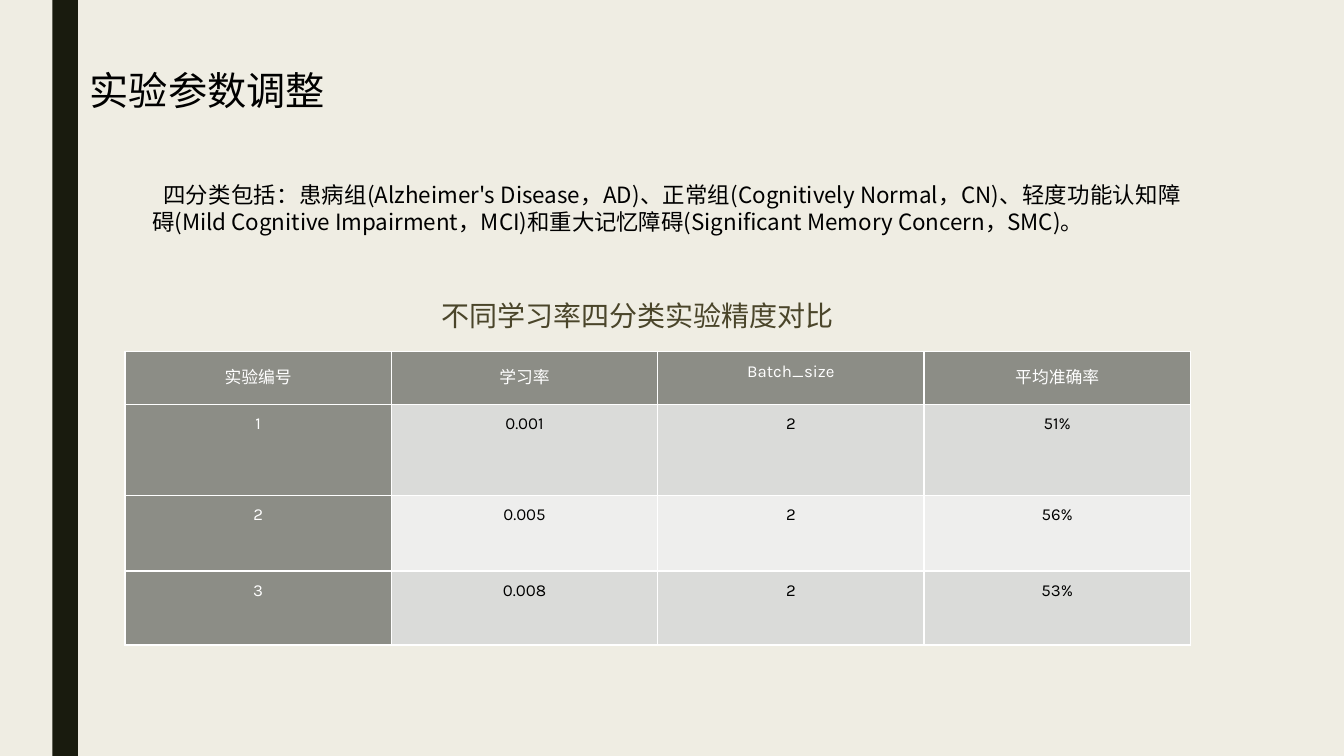
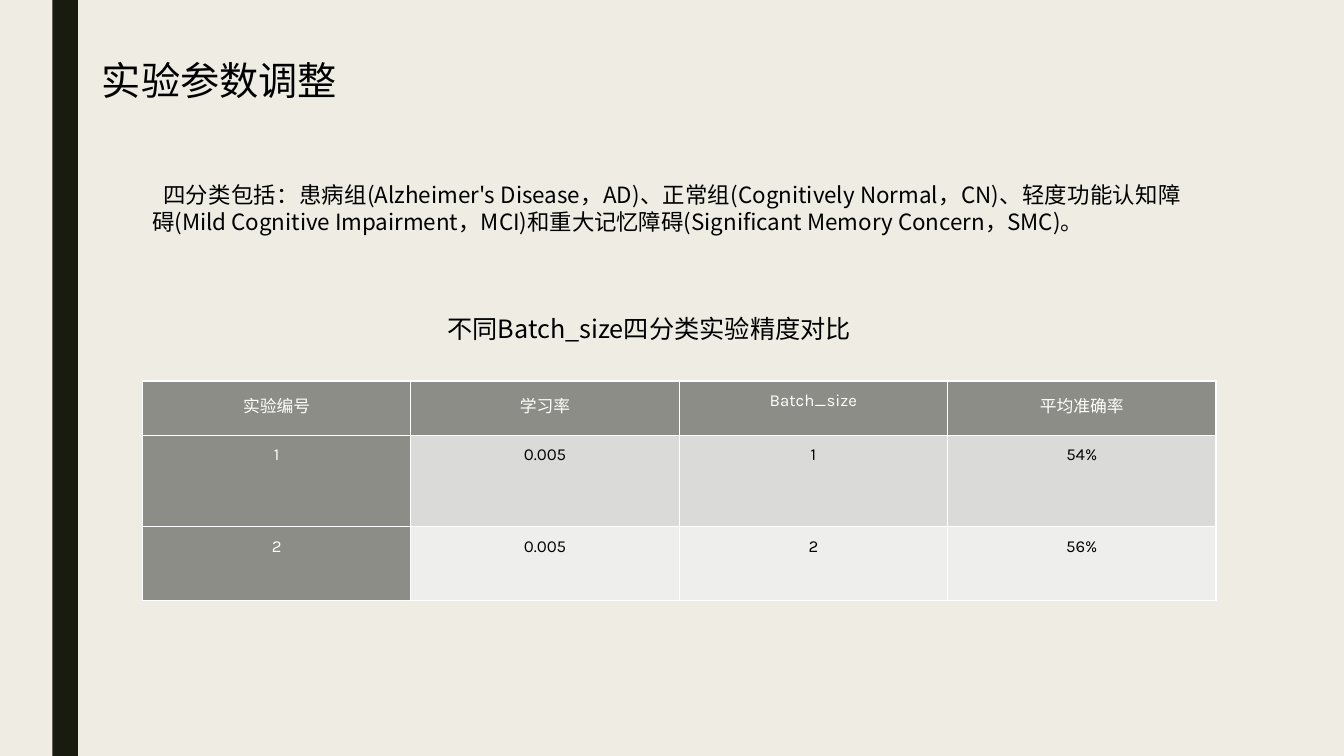
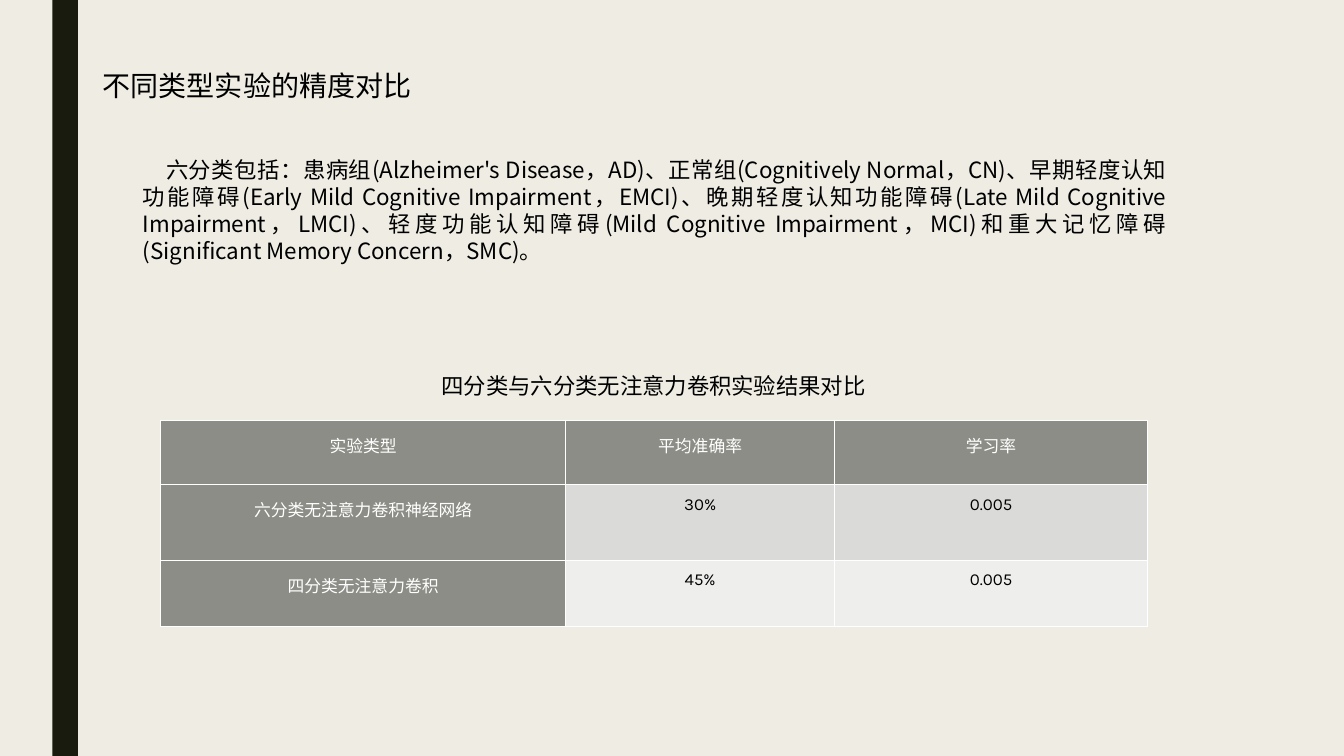
from pptx import Presentation
from pptx.dml.color import RGBColor
from pptx.enum.shapes import MSO_SHAPE
from pptx.enum.text import MSO_ANCHOR, MSO_AUTO_SIZE, PP_ALIGN
from pptx.oxml.ns import qn
from pptx.util import Inches, Pt
from lxml.etree import SubElement

# Shared look
SLIDE_WIDTH = Inches(13.33)
SLIDE_HEIGHT = Inches(7.5)
PAPER = RGBColor(0xEF, 0xED, 0xE3)
BAND = RGBColor(0x19, 0x1B, 0x0E)
BLACK = RGBColor(0, 0, 0)
WHITE = RGBColor(0xFF, 0xFF, 0xFF)
OLIVE = RGBColor(0x4A, 0x45, 0x2A)
HEADER_FILL = RGBColor(0x8C, 0x8D, 0x86)
ROW_FILLS = (RGBColor(0xDA, 0xDB, 0xD9), RGBColor(0xEE, 0xEE, 0xED))
CJK_FONT = "Noto Sans CJK SC"
LATIN_FONT = "Karla"
TITLE_SIZE = (28.2, 6.67)
TITLE_ONLY_LAYOUT = 5

# Wording
PARAMETER_TITLE = "实验参数调整"
FOUR_CLASSES = (
    "四分类包括：患病组(Alzheimer's Disease，AD)、正常组(Cognitively Normal，CN)、"
    "轻度功能认知障碍(Mild Cognitive Impairment，MCI)"
    "和重大记忆障碍(Significant Memory Concern，SMC)。"
)
SIX_CLASSES = (
    "六分类包括：患病组(Alzheimer's Disease，AD)、正常组(Cognitively Normal，CN)、"
    "早期轻度认知功能障碍(Early Mild Cognitive Impairment，EMCI)、"
    "晚期轻度认知功能障碍(Late Mild Cognitive Impairment，LMCI)、"
    "轻度功能认知障碍(Mild Cognitive Impairment，MCI)"
    "和重大记忆障碍(Significant Memory Concern，SMC)。"
)
PARAMETER_HEADER = ("实验编号", "学习率", "Batch_size", "平均准确率")


def across(percent):
    return round(SLIDE_WIDTH * percent / 100)


def down(percent):
    return round(SLIDE_HEIGHT * percent / 100)


def place(left, top, width, height):
    """Turn percentages of the slide into lengths."""
    return across(left), down(top), across(width), down(height)


def write(text_frame, text, size, color=BLACK, font=CJK_FONT,
          alignment=PP_ALIGN.LEFT, line_spacing=1.0):
    text_frame.text = text
    paragraph = text_frame.paragraphs[0]
    paragraph.alignment = alignment
    paragraph.line_spacing = line_spacing
    for run in paragraph.runs:
        run.font.size = Pt(size)
        run.font.color.rgb = color
        run.font.bold = False
        run.font.name = font
        east_asian = SubElement(run.font._element, qn("a:ea"))
        east_asian.set("typeface", CJK_FONT)
    return paragraph


def set_up_master(presentation, slide):
    """Give the master the paper colour and the dark band."""
    master = presentation.slide_master
    master.background.fill.solid()
    master.background.fill.fore_color.rgb = PAPER
    band = slide.shapes.add_shape(MSO_SHAPE.RECTANGLE, *place(3.9, 0, 1.9, 100))
    band.shadow.inherit = False
    band.fill.solid()
    band.fill.fore_color.rgb = BAND
    band.line.fill.background()
    master.shapes.element.insert(2, band.element)


def add_title(slide, text, left, top, size=28, font=LATIN_FONT):
    title = slide.shapes.title
    title.left, title.top, title.width, title.height = place(left, top, *TITLE_SIZE)
    text_frame = title.text_frame
    text_frame.auto_size = MSO_AUTO_SIZE.NONE
    text_frame.vertical_anchor = MSO_ANCHOR.TOP
    write(text_frame, text, size, font=font,
          alignment=PP_ALIGN.JUSTIFY, line_spacing=0.89)


def add_text(slide, text, box, size, **style):
    text_frame = slide.shapes.add_textbox(*place(*box)).text_frame
    text_frame.word_wrap = True
    return text_frame, write(text_frame, text, size, **style)


def add_description(slide, text, box, indent):
    paragraph = add_text(slide, text, box, 16, alignment=PP_ALIGN.JUSTIFY)[1]
    paragraph._p.get_or_add_pPr().set("indent", str(Inches(indent)))


def add_caption(slide, text, box, size, **style):
    text_frame = add_text(slide, text, box, size, **style)[0]
    text_frame.vertical_anchor = MSO_ANCHOR.MIDDLE


def set_borders(cell):
    properties = cell._tc.get_or_add_tcPr()
    for position, side in enumerate(("a:lnL", "a:lnR", "a:lnT", "a:lnB")):
        line = SubElement(properties, qn(side), w=str(Pt(1)))
        fill = SubElement(line, qn("a:solidFill"))
        SubElement(fill, qn("a:srgbClr"), val=str(WHITE))
        properties.insert(position, line)


def add_result_table(slide, left, top, columns, heights, rows):
    """Header row and first column are dark; the other rows alternate."""
    box = place(left, top, sum(columns), sum(heights))
    table = slide.shapes.add_table(len(rows), len(columns), *box).table
    for column, width in zip(table.columns, columns):
        column.width = across(width)
    for row, height in zip(table.rows, heights):
        row.height = down(height)
    for row_index, values in enumerate(rows):
        for column_index, value in enumerate(values):
            cell = table.cell(row_index, column_index)
            heading = row_index == 0 or column_index == 0
            cell.margin_left = cell.margin_right = Inches(0.07)
            cell.margin_top = cell.margin_bottom = 0
            cell.fill.solid()
            cell.fill.fore_color.rgb = (
                HEADER_FILL if heading else ROW_FILLS[(row_index - 1) % 2])
            write(cell.text_frame, value, 12, WHITE if heading else BLACK,
                  LATIN_FONT, PP_ALIGN.CENTER, 1.5)
            set_borders(cell)


def build_learning_rate(slide):
    add_title(slide, PARAMETER_TITLE, 5.93, 8.8)
    add_description(slide, FOUR_CLASSES, (10.58, 23.33, 78, 8.53), 0.11)
    add_caption(slide, "不同学习率四分类实验精度对比",
                (32.1, 38.67, 33.75, 6), 20, color=OLIVE)
    add_result_table(slide, 9.3, 46.53, [19.82] * 4, [7, 12, 10, 9.8], [
        PARAMETER_HEADER,
        ("1", "0.001", "2", "51%"),
        ("2", "0.005", "2", "56%"),
        ("3", "0.008", "2", "53%"),
    ])


def build_batch_size(slide):
    add_title(slide, PARAMETER_TITLE, 6.83, 7.47)
    add_description(slide, FOUR_CLASSES, (10.58, 23.33, 78, 8.53), 0.11)
    add_caption(slide, "不同Batch_size四分类实验精度对比",
                (32.55, 40.8, 35.93, 5.33), 18)
    add_result_table(slide, 10.6, 50.4, [19.97] * 4, [7.2, 12.1, 9.75], [
        PARAMETER_HEADER,
        ("1", "0.005", "1", "54%"),
        ("2", "0.005", "2", "56%"),
    ])


def build_comparison(slide):
    add_title(slide, "不同类型实验的精度对比", 6.9, 8.93, 20, CJK_FONT)
    add_description(slide, SIX_CLASSES, (9.9, 20, 77.63, 15.73), 0.23)
    add_caption(slide, "四分类与六分类无注意力卷积实验结果对比",
                (28.8, 48.53, 39.7, 4.93), 16,
                font="Arial", alignment=PP_ALIGN.CENTER)
    add_result_table(slide, 11.95, 55.6, [30.15, 20, 23.3], [8.53, 10, 8.8], [
        ("实验类型", "平均准确率", "学习率"),
        ("六分类无注意力卷积神经网络", "30%", "0.005"),
        ("四分类无注意力卷积", "45%", "0.005"),
    ])


def main():
    presentation = Presentation()
    presentation.slide_width = SLIDE_WIDTH
    presentation.slide_height = SLIDE_HEIGHT
    layout = presentation.slide_layouts[TITLE_ONLY_LAYOUT]
    builders = (build_learning_rate, build_batch_size, build_comparison)
    for number, build in enumerate(builders):
        slide = presentation.slides.add_slide(layout)
        if number == 0:
            set_up_master(presentation, slide)
        build(slide)
    presentation.save("out.pptx")


if __name__ == "__main__":
    main()
